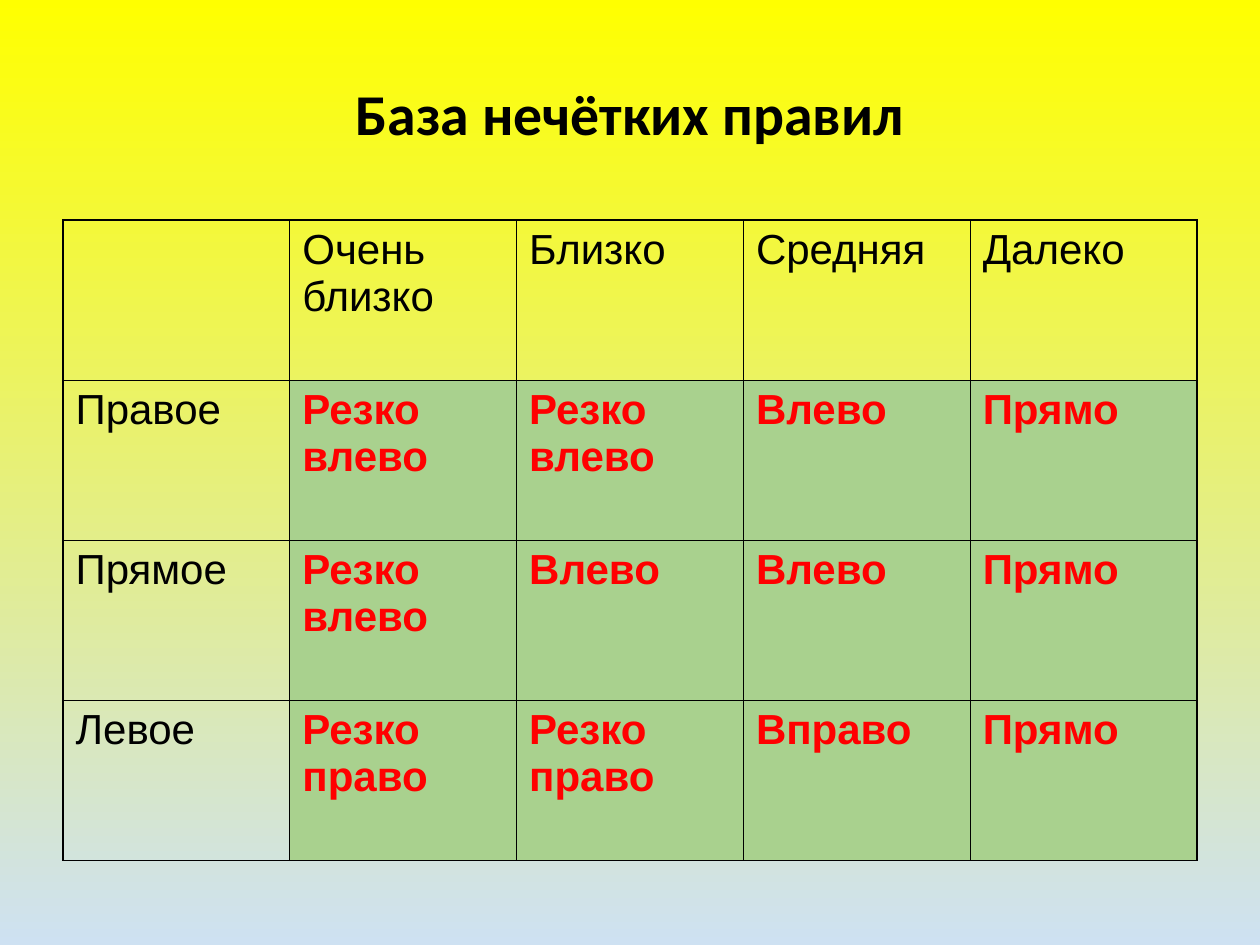
from dataclasses import dataclass

import pptx
import pptx.dml.color
import pptx.enum.text
import pptx.oxml.ns
import pptx.util
from lxml import etree

EMU_PER_PX = 914400 / 126

BLACK = pptx.dml.color.RGBColor(0x00, 0x00, 0x00)
RED = pptx.dml.color.RGBColor(0xFF, 0x00, 0x00)
GREEN = pptx.dml.color.RGBColor(0xA9, 0xD1, 0x8E)
YELLOW = pptx.dml.color.RGBColor(0xFF, 0xFF, 0x00)
PALE_BLUE = pptx.dml.color.RGBColor(0xCE, 0xE1, 0xF2)

OUTER_LINE = pptx.util.Pt(1.08)
INNER_LINE = pptx.util.Pt(0.45)

RULES = [
    ["", "Очень близко", "Близко", "Средняя", "Далеко"],
    ["Правое", "Резко влево", "Резко влево", "Влево", "Прямо"],
    ["Прямое", "Резко влево", "Влево", "Влево", "Прямо"],
    ["Левое", "Резко право", "Резко право", "Вправо", "Прямо"],
]


@dataclass(frozen=True)
class Box:
    left: int
    top: int
    width: int
    height: int

    def emu(self) -> list[pptx.util.Emu]:
        return [px(n) for n in (self.left, self.top, self.width, self.height)]


@dataclass(frozen=True)
class TextStyle:
    name: str
    size: int
    color: pptx.dml.color.RGBColor
    bold: bool


TITLE_BOX = Box(63, 38, 1134, 157)
TABLE_BOX = Box(63, 220, 1134, 640)

TITLE_STYLE = TextStyle("Calibri", 33, BLACK, True)
HEADING_STYLE = TextStyle("Arial", 24, BLACK, False)
ACTION_STYLE = TextStyle("Arial", 24, RED, True)


def px(length: int) -> pptx.util.Emu:
    return pptx.util.Emu(round(length * EMU_PER_PX))


def write_text(paragraph, text: str, style: TextStyle) -> None:
    paragraph.text = text
    font = paragraph.font
    font.name = style.name
    font.size = pptx.util.Pt(style.size)
    font.bold = style.bold
    font.color.rgb = style.color


def set_border(cell, side: str, width: int) -> None:
    qn = pptx.oxml.ns.qn
    properties = cell._tc.get_or_add_tcPr()
    line = etree.SubElement(properties, qn(f"a:ln{side}"), w=str(int(width)))
    fill = etree.SubElement(line, qn("a:solidFill"))
    etree.SubElement(fill, qn("a:srgbClr"), val=str(BLACK))


def paint_background(slide) -> None:
    fill = slide.background.fill
    fill.gradient()
    fill.gradient_angle = 270
    for stop, color, position in zip(fill.gradient_stops, (YELLOW, PALE_BLUE), (0, 1)):
        stop.color.rgb = color
        stop.position = position


def add_title(slide, text: str) -> None:
    frame = slide.shapes.add_textbox(*TITLE_BOX.emu()).text_frame
    frame.word_wrap = True
    frame.vertical_anchor = pptx.enum.text.MSO_ANCHOR.MIDDLE
    paragraph = frame.paragraphs[0]
    paragraph.alignment = pptx.enum.text.PP_ALIGN.CENTER
    paragraph.line_spacing = 0.9
    write_text(paragraph, text, TITLE_STYLE)


def add_rule_table(slide, rules: list[list[str]]) -> None:
    last_row, last_column = len(rules) - 1, len(rules[0]) - 1
    table = slide.shapes.add_table(
        last_row + 1, last_column + 1, *TABLE_BOX.emu()
    ).table
    table.first_row = False
    table.horz_banding = False

    for row, texts in enumerate(rules):
        for column, text in enumerate(texts):
            cell = table.cell(row, column)
            is_action = row > 0 and column > 0

            # Heavier lines on the outside left, right and top
            edges = {"L": column == 0, "R": column == last_column,
                     "T": row == 0, "B": False}
            for side, is_outer in edges.items():
                set_border(cell, side, OUTER_LINE if is_outer else INNER_LINE)

            if is_action:
                cell.fill.solid()
                cell.fill.fore_color.rgb = GREEN
            else:
                cell.fill.background()
            write_text(cell.text_frame.paragraphs[0], text,
                       ACTION_STYLE if is_action else HEADING_STYLE)


def main() -> None:
    presentation = pptx.Presentation()
    presentation.slide_width = px(1260)
    presentation.slide_height = px(945)
    slide = presentation.slides.add_slide(presentation.slide_layouts[6])

    paint_background(slide)
    add_title(slide, "База нечётких правил")
    add_rule_table(slide, RULES)
    presentation.save("out.pptx")


if __name__ == "__main__":
    main()
